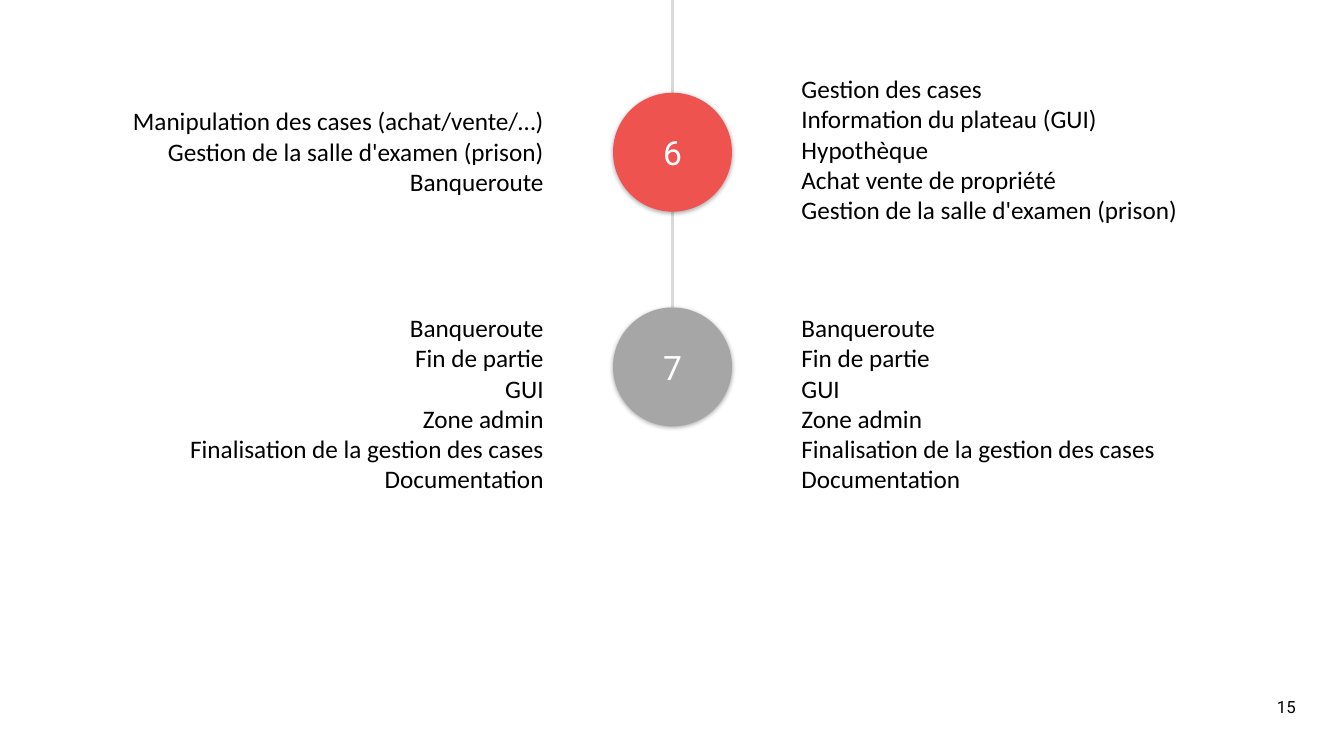
from pptx import Presentation
from pptx import util as u
from pptx.dml.color import RGBColor
from pptx.enum import shapes, text
from pptx.oxml import parse_xml
from pptx.oxml.ns import nsdecls, qn

LEFT, RIGHT, CENTER = text.PP_ALIGN.LEFT, text.PP_ALIGN.RIGHT, text.PP_ALIGN.CENTER
BLACK, WHITE = "000000", "FFFFFF"
SHADOW = (
    f'<a:outerShdw {nsdecls("a")} blurRad="38100" dist="12700" dir="5400000" '
    'algn="t" rotWithShape="0"><a:srgbClr val="000000">'
    '<a:alpha val="30000"/></a:srgbClr></a:outerShdw>'
)


def color(value):
    return RGBColor.from_string(value)


class Timeline:
    body_font, number_font = "Calibri", "Roboto"
    axis_x, diameter = 6.67, 1.18

    def __init__(self, slide):
        self.s = slide

    def set_text(self, tf, lines, size, font, ink, align):
        tf.text = "\n".join(lines)
        for p in tf.paragraphs:
            p.alignment = align
            for r in p.runs:
                r.font.size = u.Pt(size)
                r.font.name = font
                r.font.color.rgb = color(ink)

    def axis(self, top, bottom):
        x = u.Inches(self.axis_x)
        line = self.s.shapes.add_connector(
            shapes.MSO_CONNECTOR.STRAIGHT, x, u.Inches(top), x, u.Inches(bottom))
        line.line.color.rgb = color("D9D9D9")
        line.line.width = u.Pt(2)
        line._element.spPr.append(parse_xml(f'<a:effectLst {nsdecls("a")}/>'))

    def circle(self, number, top, fill):
        d = u.Inches(self.diameter)
        sp = self.s.shapes.add_shape(
            shapes.MSO_SHAPE.OVAL, u.Inches(self.axis_x - self.diameter / 2),
            u.Inches(top), d, d)
        sp.fill.solid()
        sp.fill.fore_color.rgb = color(fill)
        sp.line.fill.background()
        sp.shadow.inherit = False
        sp._element.spPr.find(qn("a:effectLst")).append(parse_xml(SHADOW))
        tf = sp.text_frame
        tf.vertical_anchor = text.MSO_ANCHOR.MIDDLE
        self.set_text(tf, [number], 24, self.number_font, WHITE, CENTER)

    def text_box(self, box, lines, align, wrap=True):
        tf = self.s.shapes.add_textbox(*map(u.Inches, box)).text_frame
        tf.word_wrap = wrap
        tf.auto_size = text.MSO_AUTO_SIZE.SHAPE_TO_FIT_TEXT
        self.set_text(tf, lines, 18, self.body_font, BLACK, align)

    def page_number(self, number):
        box = (12.51, 6.81, 0.44, 0.4)
        tf = self.s.shapes.add_textbox(*map(u.Inches, box)).text_frame
        tf.word_wrap = True
        tf.vertical_anchor = text.MSO_ANCHOR.MIDDLE
        self.set_text(tf, [number], 12, self.number_font, BLACK, RIGHT)


def main():
    prs = Presentation()
    prs.slide_width, prs.slide_height = u.Inches(13.33), u.Inches(7.5)
    timeline = Timeline(prs.slides.add_slide(prs.slide_layouts[6]))

    # Axis and page number
    timeline.axis(0, 3.05)
    timeline.page_number("15")

    # Numbered steps
    timeline.circle("6", 0.92, "EF5350")
    timeline.circle("7", 3.05, "A6A6A6")

    # Step 6: left and right
    prison = "Gestion de la salle d'examen (prison)"
    timeline.text_box(
        (0.58, 1, 4.91, 1.01),
        ["Manipulation des cases (achat/vente/…)", prison, "Banqueroute"], RIGHT)
    timeline.text_box(
        (7.85, 0.68, 3.98, 1.62),
        ["Gestion des cases", "Information du plateau (GUI)", "Hypothèque",
         "Achat vente de propriété", prison], LEFT, wrap=False)

    # Step 7: the same tasks on both sides
    final_tasks = ["Banqueroute", "Fin de partie", "GUI", "Zone admin",
                   "Finalisation de la gestion des cases", "Documentation"]
    timeline.text_box((0.58, 3.05, 4.91, 2.22), final_tasks, RIGHT)
    timeline.text_box((7.85, 3.05, 3.75, 2.22), final_tasks, LEFT, wrap=False)

    prs.save("out.pptx")


if __name__ == "__main__":
    main()
